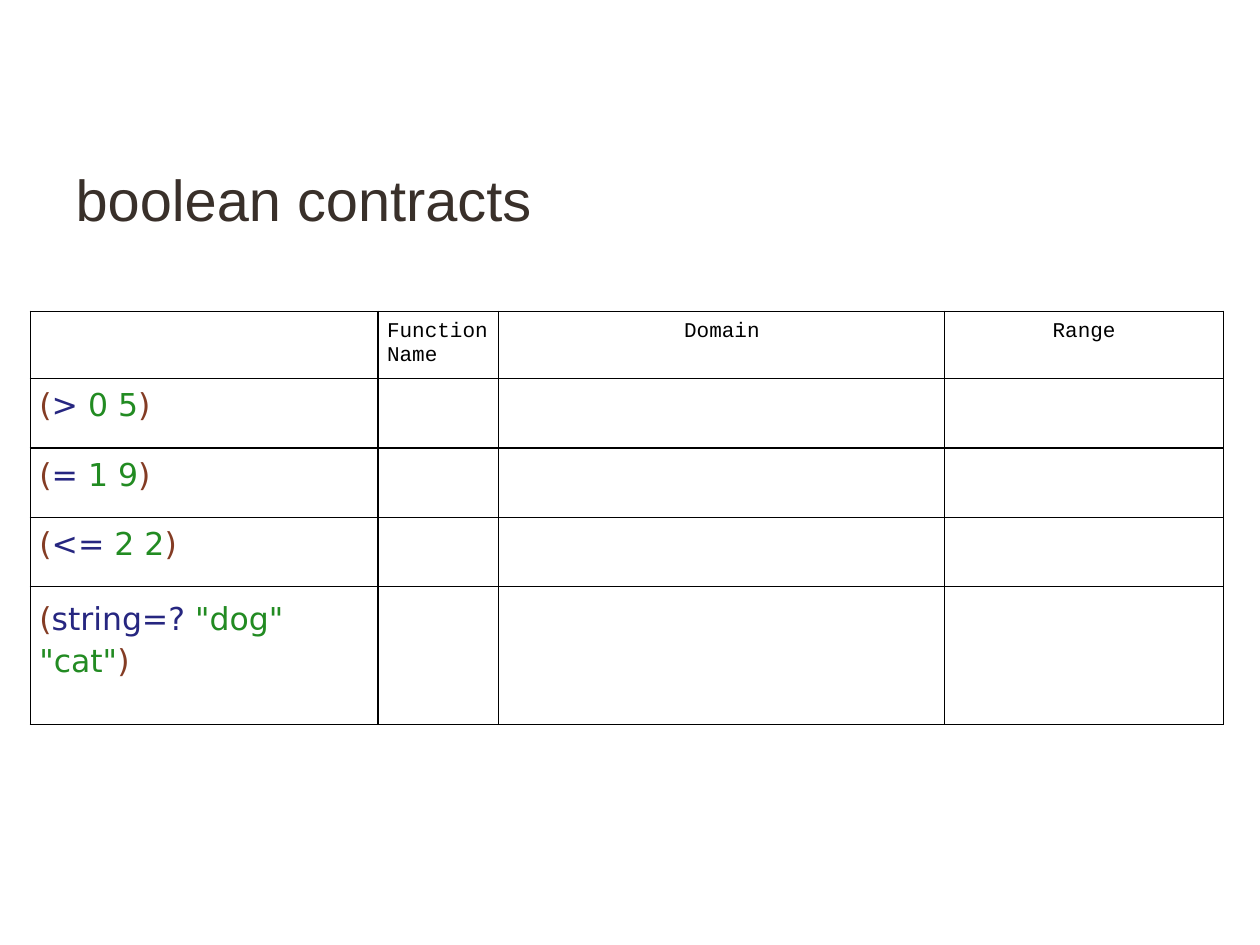
from lxml.etree import SubElement
from pptx import Presentation
from pptx.dml.color import RGBColor as RGB
from pptx.enum.text import MSO_ANCHOR as ANCHOR, PP_ALIGN as ALIGN
from pptx.oxml.ns import qn
from pptx.util import Pt

COLORS = {"title": "39302A", "black": "000000", "paren": "843C24",
          "name": "262680", "value": "228B22"}
TITLE = "boolean contracts"
HEADERS = [("Function Name", ALIGN.LEFT), ("Domain", ALIGN.CENTER), ("Range", ALIGN.CENTER)]
CALLS = [(">", "0 5"), ("=", "1 9"), ("<=", "2 2"), ("string=?", '"dog" "cat"')]
COLS = [198.7, 69.1, 254.9, 159.1]
ROWS = [38.6, 39.6, 39.6, 39.6, 78.8]
LEFT, TOP, PAD, BORDER = 17.3, 177.8, 5.2, 0.75


def add_run(p, text, font, size, color):
    r = p.add_run()
    r.text = text
    for key, value in {"name": font, "size": Pt(size), "bold": False}.items():
        setattr(r.font, key, value)
    r.font.color.rgb = RGB.from_string(COLORS[color])


def format_cell(cell):
    for side in ("left", "right", "top", "bottom"):
        setattr(cell, f"margin_{side}", Pt(PAD))
    tc_pr = cell._tc.get_or_add_tcPr()
    for edge in "LRTB":
        ln = SubElement(tc_pr, qn(f"a:ln{edge}"), w=str(Pt(BORDER)))
        fill = SubElement(ln, qn("a:solidFill"))
        SubElement(fill, qn("a:srgbClr"), val=COLORS["black"])
    cell.fill.background()


def add_title(s):
    sp = s.shapes.title
    for key, value in {"left": 36, "top": 21.6, "width": 648, "height": 119.5}.items():
        setattr(sp, key, Pt(value))
    tf = sp.text_frame
    tf.word_wrap = True
    tf.vertical_anchor = ANCHOR.BOTTOM
    for side in ("left", "right", "top", "bottom"):
        setattr(tf, f"margin_{side}", Pt(7.2))
    p = tf.paragraphs[0]
    p.alignment, p.line_spacing = ALIGN.LEFT, 0.9
    add_run(p, TITLE, "Arial", 33, "title")


def add_contracts(s):
    table = s.shapes.add_table(len(ROWS), len(COLS), Pt(LEFT), Pt(TOP),
                               Pt(sum(COLS)), Pt(sum(ROWS))).table
    table.first_row = table.horz_banding = False
    for col, width in zip(table.columns, COLS):
        col.width = Pt(width)
    for row, height in zip(table.rows, ROWS):
        row.height = Pt(height)
    for cell in table.iter_cells():
        format_cell(cell)
    for i, (text, align) in enumerate(HEADERS, 1):
        p = table.cell(0, i).text_frame.paragraphs[0]
        p.alignment = align
        add_run(p, text, "Courier New", 12, "black")
    for i, (name, values) in enumerate(CALLS, 1):
        p = table.cell(i, 0).text_frame.paragraphs[0]
        if i == len(CALLS):
            p.line_spacing = 1.15
        for text, color in (("(", "paren"), (name + " ", "name"),
                            (values, "value"), (")", "paren")):
            add_run(p, text, "DejaVu Sans", 18, color)


def main():
    prs = Presentation()
    prs.slide_width, prs.slide_height = Pt(720), Pt(540)
    s = prs.slides.add_slide(prs.slide_layouts[5])
    add_title(s)
    add_contracts(s)
    prs.save("out.pptx")


if __name__ == "__main__":
    main()
